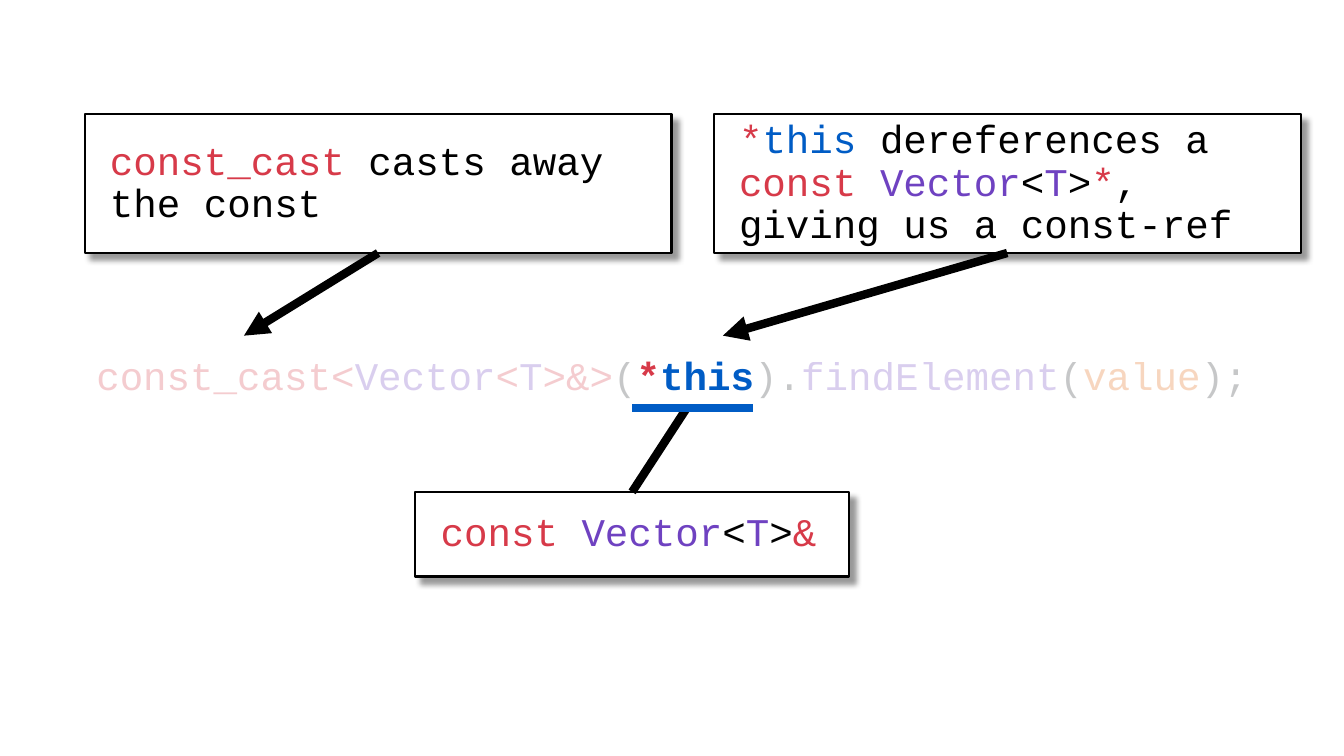
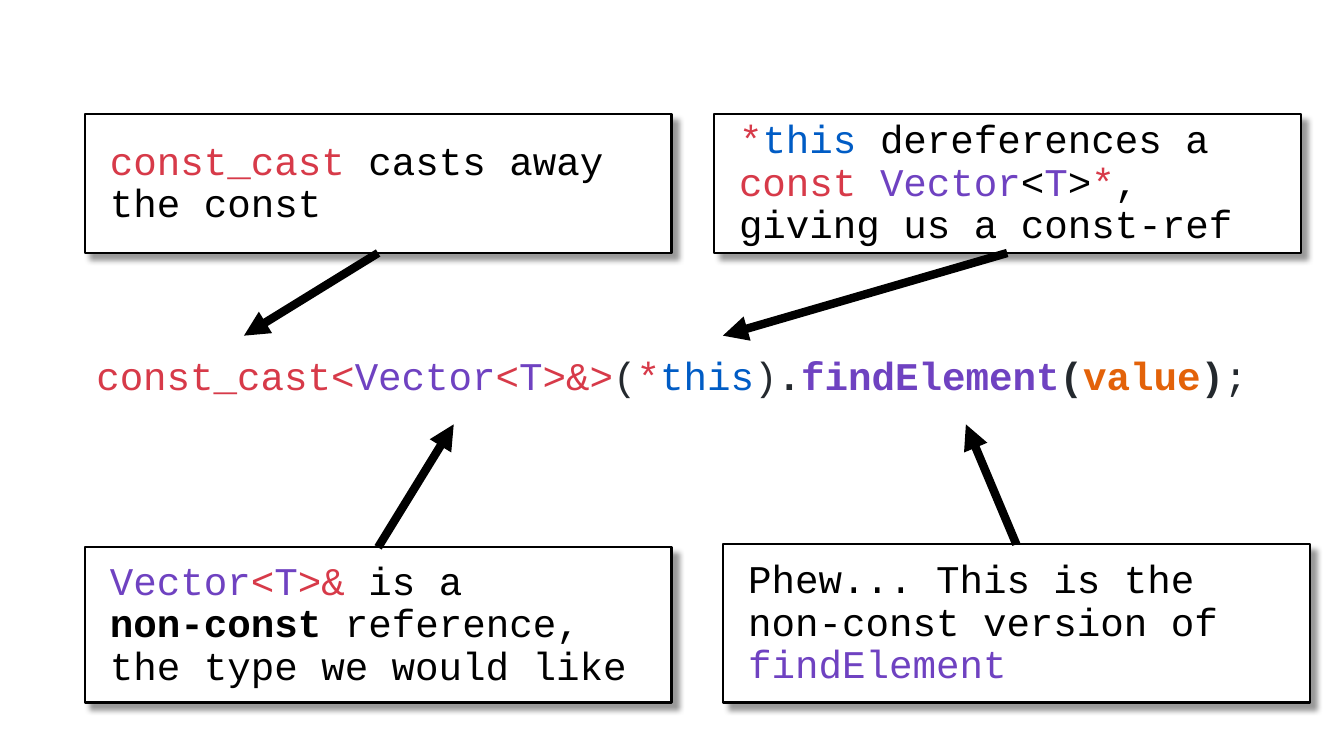
"""Build two slides that explain a const_cast expression with callouts."""
import pptx
import pptx.util
import pptx.dml.color
import pptx.enum.shapes
import pptx.enum.text
import pptx.oxml.ns
import lxml.etree

Inches = pptx.util.Inches
Pt = pptx.util.Pt
qn = pptx.oxml.ns.qn

HUES = {
    "red": "D73A49", "violet": "6F42C1", "blue": "005CC5", "ink": "24292E",
    "orange": "E36209", "black": "000000", "white": "FFFFFF",
}
FONT, SIZE = "Courier New", 28
WIDE, TALL = 5.82, 1.38
LEFT, RIGHT, TOP = 0.84, 7.08, 1.13
TITLE = (0.43, 3.33, 12.47, 0.84)
UNDER = 4.05
POINT = 4.21

CODE = [
    ("const_cast<", "red"), ("Vector", "violet"), ("<", "red"), ("T", "violet"),
    (">&>", "red"), ("(", "ink"), ("*", "red"), ("this", "blue"), (")", "ink"),
    (".", "ink"), ("findElement", "violet"), ("(", "ink"), ("value", "orange"),
    (")", "ink"), (";", "ink"),
]
VECTOR = [("Vector", "violet"), ("<", "black"), ("T", "violet"), (">", "black")]

CAST = {
    "at": (LEFT, TOP, WIDE, TALL), "site": 2, "to": (2.42, TITLE[1]),
    "runs": [("const_cast ", "red"), ("casts away the const", "black")],
}
DEREF = {
    "at": (RIGHT, TOP, WIDE, TALL), "site": 2, "to": (7.17, TITLE[1]),
    "runs": [("*", "red"), ("this ", "blue"), ("dereferences a ", "black"),
             ("const ", "red"), *VECTOR, ("*", "red"),
             (", giving us a const-ref", "black")],
}
RESULT = {
    "at": (4.12, 4.88, 4.3, 0.84), "site": 0, "to": (6.81, UNDER), "head": False,
    "runs": [("const ", "red"), *VECTOR, ("&", "red")],
}
TYPE = {
    "at": (LEFT, 5.43, WIDE, 1.54), "site": 0, "to": (4.5, POINT), "bold": {5},
    "runs": [("Vector", "violet"), ("<", "red"), ("T", "violet"), (">& ", "red"),
             ("is a\v", "black"), ("non-const", "black"),
             (" reference, the type we would like", "black")],
}
CALL = {
    "at": (7.17, 5.4, WIDE, 1.57), "site": 0, "to": (9.58, POINT),
    "runs": [("Phew... This is the non-const version of ", "black"),
             ("findElement", "violet")],
}
SLIDES = [
    {"bold": {6, 7}, "dim": True, "notes": [CAST, DEREF, RESULT],
     "rule": (6.27, 7.47)},
    {"bold": set(range(9, 14)), "notes": [CAST, TYPE, DEREF, CALL]},
]


def hue(name):
    return pptx.dml.color.RGBColor.from_string(HUES[name])


def node(parent, tag, **attrs):
    return lxml.etree.SubElement(parent, qn(tag), attrs)


def write(shape, runs, bold=(), dim=False, align="LEFT", before=0, inset=None):
    frame = shape.text_frame
    frame.word_wrap = True
    frame.auto_size = pptx.enum.text.MSO_AUTO_SIZE.NONE
    frame.vertical_anchor = pptx.enum.text.MSO_ANCHOR.MIDDLE
    if inset:
        frame.margin_left = frame.margin_right = Inches(inset)
        frame.margin_top = frame.margin_bottom = Inches(inset)
    para = frame.paragraphs[0]
    para.alignment = getattr(pptx.enum.text.PP_ALIGN, align)
    para.line_spacing = 0.9
    para.space_before = Pt(before)
    for spot, (words, tint) in enumerate(runs):
        run = para.add_run()
        run.text = words.rstrip("\v")
        font = run.font
        font.name, font.size, font.bold = FONT, Pt(SIZE), spot in bold
        font.color.rgb = hue(tint)
        if dim and spot not in bold:
            node(run._r.find(".//" + qn("a:srgbClr")), "a:alpha", val="25000")
        if words.endswith("\v"):
            para.add_line_break()


def stroke(slide, start, end, tint="black", head=False):
    line = slide.shapes.add_connector(
        pptx.enum.shapes.MSO_CONNECTOR.STRAIGHT, *map(Inches, start + end))
    line.line.color.rgb = hue(tint)
    line.line.width = Pt(6)
    props = line.element.spPr
    if head:
        node(props.find(qn("a:ln")), "a:tailEnd", type="triangle")
    node(props, "a:effectLst")
    return line


def callout(slide, note):
    x, y, wide, tall = note["at"]
    box = slide.shapes.add_shape(
        pptx.enum.shapes.MSO_SHAPE.RECTANGLE, *map(Inches, note["at"]))
    box.fill.solid()
    box.fill.fore_color.rgb = hue("white")
    box.line.color.rgb = hue("black")
    box.line.width = Pt(1.5)
    box.shadow.inherit = False
    shade = node(box.element.spPr.find(qn("a:effectLst")), "a:outerShdw",
                 blurRad=str(Pt(4)), dist=str(Pt(6)), dir="2700000",
                 algn="tl", rotWithShape="0")
    node(node(shade, "a:srgbClr", val=HUES["black"]), "a:alpha", val="40000")
    write(box, note["runs"], bold=note.get("bold", ()), before=10, inset=0.25)
    start = (x + wide / 2, y + tall * note["site"] / 2)
    line = stroke(slide, start, note["to"], head=note.get("head", True))
    line.begin_connect(box, note["site"])


def main():
    deck = pptx.Presentation()
    deck.slide_width, deck.slide_height = Inches(13.33), Inches(7.5)
    for page in SLIDES:
        slide = deck.slides.add_slide(deck.slide_layouts[5])
        title = slide.shapes.title
        title.left, title.top, title.width, title.height = map(Inches, TITLE)
        write(title, CODE, bold=page["bold"], dim=page.get("dim", False),
              align="CENTER")
        for note in page["notes"]:
            callout(slide, note)
        if "rule" in page:
            left, right = page["rule"]
            stroke(slide, (left, UNDER), (right, UNDER), tint="blue")
    deck.save("out.pptx")


if __name__ == "__main__":
    main()
